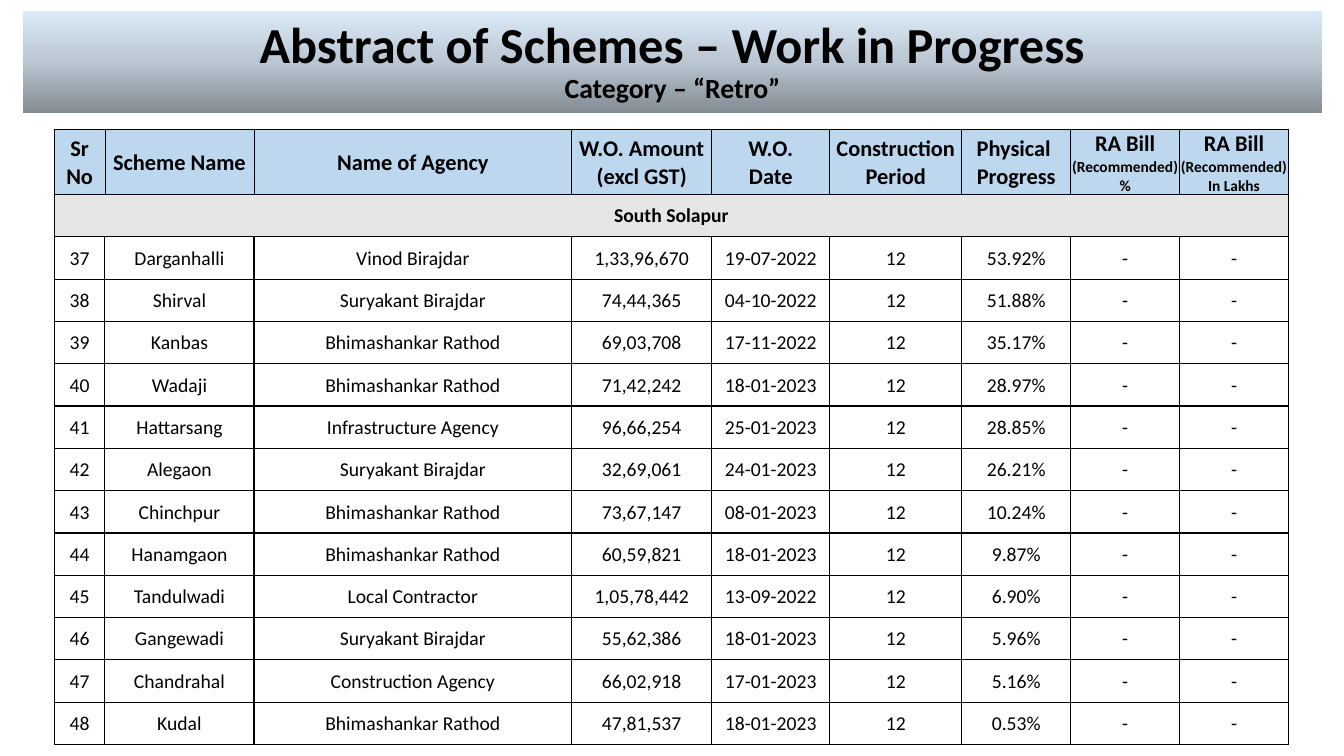
import dataclasses
import typing

import lxml.etree
import pptx
import pptx.dml.color
import pptx.enum.text
import pptx.oxml
import pptx.oxml.ns
import pptx.util

Inches = pptx.util.Inches
Pt = pptx.util.Pt
qn = pptx.oxml.ns.qn

COLORS = {
    "text": "000000",
    "border": "000000",
    "header": "BDD7EE",
    "district": "E7E6E6",
    "banner_dark": "838B93",
    "banner_mid": "BAC6D1",
    "banner_light": "DCEBF8",
}
COL_WIDTHS = [0.5, 1.48, 3.15, 1.39, 1.17, 1.31, 1.08, 1.08, 1.08]
HEADERS = [
    "Sr No", "Scheme Name", "Name of Agency", "W.O. Amount\v(excl GST)", "W.O.\vDate",
    "Construction\vPeriod", "Physical \nProgress",
    "RA Bill\n(Recommended)\n%", "RA Bill\n(Recommended)\nIn Lakhs",
]
FIRST_SERIAL = 37
CELL_FORMAT = {
    "margin_left": Inches(0.01),
    "margin_right": Inches(0.01),
    "margin_top": Inches(0.01),
    "margin_bottom": 0,
    "vertical_anchor": pptx.enum.text.MSO_ANCHOR.MIDDLE,
}


class Scheme(typing.NamedTuple):
    name: str
    agency: str
    amount: str
    date: str
    progress: str


SCHEMES = [
    Scheme("Darganhalli", "Vinod Birajdar", "1,33,96,670", "19-07-2022", "53.92%"),
    Scheme("Shirval", "Suryakant Birajdar", "74,44,365", "04-10-2022", "51.88%"),
    Scheme("Kanbas", "Bhimashankar Rathod", "69,03,708", "17-11-2022", "35.17%"),
    Scheme("Wadaji", "Bhimashankar Rathod", "71,42,242", "18-01-2023", "28.97%"),
    Scheme("Hattarsang", "Infrastructure Agency", "96,66,254", "25-01-2023", "28.85%"),
    Scheme("Alegaon", "Suryakant Birajdar", "32,69,061", "24-01-2023", "26.21%"),
    Scheme("Chinchpur", "Bhimashankar Rathod", "73,67,147", "08-01-2023", "10.24%"),
    Scheme("Hanamgaon", "Bhimashankar Rathod", "60,59,821", "18-01-2023", "9.87%"),
    Scheme("Tandulwadi", "Local Contractor", "1,05,78,442", "13-09-2022", "6.90%"),
    Scheme("Gangewadi", "Suryakant Birajdar", "55,62,386", "18-01-2023", "5.96%"),
    Scheme("Chandrahal", "Construction Agency", "66,02,918", "17-01-2023", "5.16%"),
    Scheme("Kudal", "Bhimashankar Rathod", "47,81,537", "18-01-2023", "0.53%"),
]


@dataclasses.dataclass
class CellStyle:
    sizes: typing.List[float]
    bold: bool = False
    fill: typing.Optional[str] = None
    border: float = 1


HEADER = CellStyle([16], True, "header", 0.5)
BILL_HEADER = CellStyle([16, 11, 11], True, "header", 0.5)
DISTRICT = CellStyle([14], True, "district")
BODY = CellStyle([14])


def rgb(key: str) -> pptx.dml.color.RGBColor:
    return pptx.dml.color.RGBColor.from_string(COLORS[key])


def format_paragraph(p, sizes: typing.List[float], bold: bool) -> None:
    p.alignment = pptx.enum.text.PP_ALIGN.CENTER
    for i, r in enumerate(p.runs):
        size = sizes[min(i, len(sizes) - 1)]
        for name, value in {"name": "Calibri", "size": Pt(size), "bold": bold}.items():
            setattr(r.font, name, value)
        r.font.color.rgb = rgb("text")
    for br in p._p.findall(qn("a:br")):
        lxml.etree.SubElement(br, qn("a:rPr"), sz=str(int(sizes[0] * 100)))


def add_borders(cell, width: float) -> None:
    tc_pr = cell._tc.get_or_add_tcPr()
    for side in ("L", "R", "T", "B"):
        weight = 1 if side == "B" else width
        ln = lxml.etree.SubElement(tc_pr, qn(f"a:ln{side}"), w=str(int(Pt(weight))))
        fill = lxml.etree.SubElement(ln, qn("a:solidFill"))
        lxml.etree.SubElement(fill, qn("a:srgbClr"), val=COLORS["border"])


def fill_cell(cell, text: str, style: CellStyle) -> None:
    for name, value in CELL_FORMAT.items():
        setattr(cell, name, value)
    cell.text_frame.text = text
    for i, p in enumerate(cell.text_frame.paragraphs):
        format_paragraph(p, [style.sizes[min(i, len(style.sizes) - 1)]], style.bold)
    if not cell.is_spanned:
        add_borders(cell, style.border)
    if style.fill:
        cell.fill.solid()
        cell.fill.fore_color.rgb = rgb(style.fill)
    else:
        cell.fill.background()


def add_grid(s, rows: int, top: float, row_height: float):
    frame = s.shapes.add_table(rows, len(COL_WIDTHS), Inches(0.54), Inches(top),
                               Inches(sum(COL_WIDTHS)), Inches(rows * row_height))
    table = frame.table
    table.first_row = table.horz_banding = False
    for column, width in zip(table.columns, COL_WIDTHS):
        column.width = Inches(width)
    for row in table.rows:
        row.height = Inches(row_height)
    return table


def add_banner(s) -> None:
    sp = s.shapes.title
    box = {"left": 0.23, "top": 0.11, "width": 12.88, "height": 1.01}
    for name, value in box.items():
        setattr(sp, name, Inches(value))
    stops = "".join(
        f'<a:gs pos="{pos}"><a:srgbClr val="{COLORS[key]}"/></a:gs>'
        for pos, key in ((0, "banner_dark"), (50000, "banner_mid"), (100000, "banner_light"))
    )
    sp._element.spPr.append(pptx.oxml.parse_xml(
        f'<a:gradFill {pptx.oxml.ns.nsdecls("a")} rotWithShape="1"><a:gsLst>{stops}</a:gsLst>'
        '<a:lin ang="16200000" scaled="0"/></a:gradFill>'))
    tf = sp.text_frame
    tf.word_wrap = True
    tf.auto_size = pptx.enum.text.MSO_AUTO_SIZE.NONE
    tf.vertical_anchor = pptx.enum.text.MSO_ANCHOR.MIDDLE
    p = tf.paragraphs[0]
    p.line_spacing = 0.9
    p.add_run().text = "Abstract of Schemes – Work in Progress"
    p.add_line_break()
    p.add_run().text = "Category – “Retro”"
    format_paragraph(p, [36, 19.8], True)


def add_header(s) -> None:
    table = add_grid(s, 1, 1.28, 0.65)
    for col, text in enumerate(HEADERS):
        style = BILL_HEADER if text.startswith("RA Bill") else HEADER
        fill_cell(table.cell(0, col), text, style)


def add_schemes(s) -> None:
    table = add_grid(s, len(SCHEMES) + 1, 1.93, 0.42)
    last = len(COL_WIDTHS) - 1
    table.cell(0, 0).merge(table.cell(0, last))
    for col in range(last + 1):
        fill_cell(table.cell(0, col), "" if col else "South Solapur", DISTRICT)
    for row, scheme in enumerate(SCHEMES, 1):
        values = [str(FIRST_SERIAL + row - 1), scheme.name, scheme.agency, scheme.amount,
                  scheme.date, "12", scheme.progress, "-", "-"]
        for col, text in enumerate(values):
            fill_cell(table.cell(row, col), text, BODY)


def main() -> None:
    prs = pptx.Presentation()
    prs.slide_width, prs.slide_height = Inches(13.33), Inches(7.5)
    s = prs.slides.add_slide(prs.slide_layouts[5])
    add_banner(s)
    add_header(s)
    add_schemes(s)
    prs.save("out.pptx")


if __name__ == "__main__":
    main()
